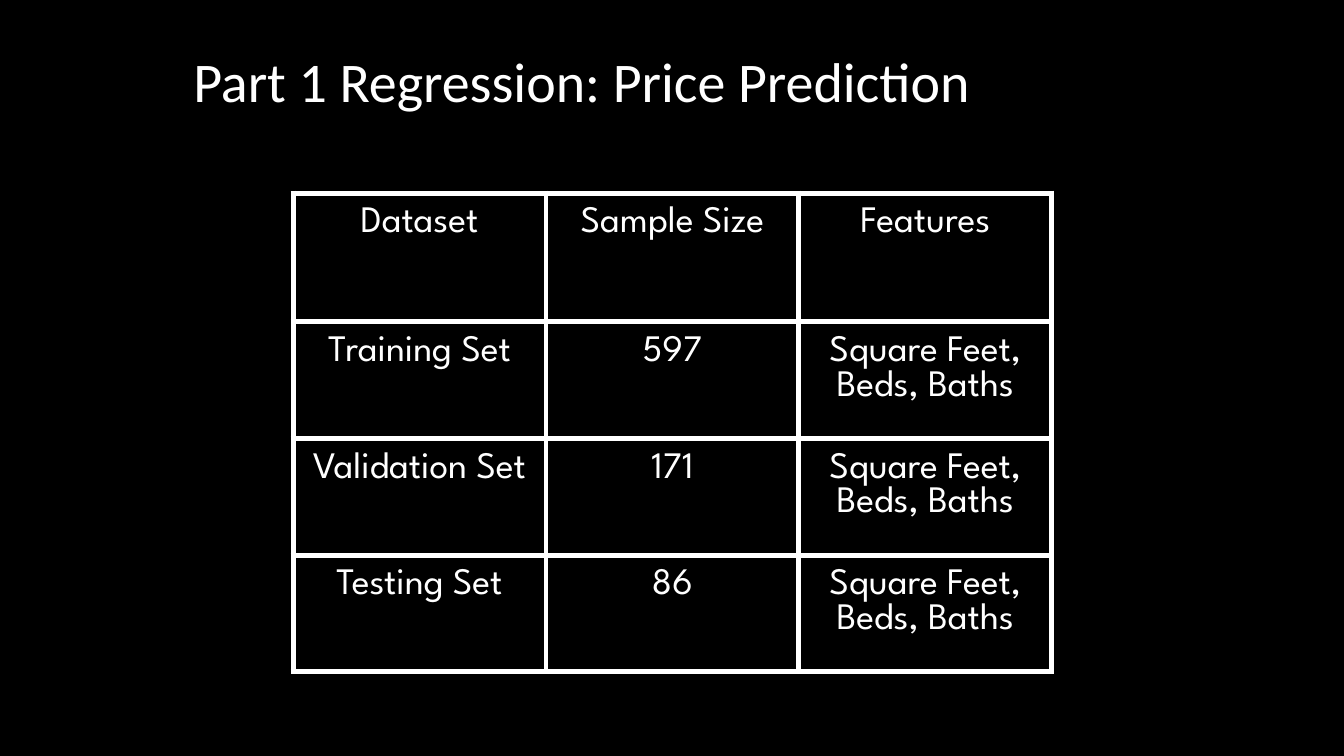
"""Build the slide on the regression data sets for price prediction."""
from lxml import etree
from pptx import Presentation
from pptx.dml.color import RGBColor
from pptx.enum import text
from pptx.oxml import ns
from pptx.util import Pt

TITLE = "Part 1 Regression: Price Prediction"
FEATURES = "Square Feet, Beds, Baths"
ROWS = [
    ("Dataset", "Sample Size", "Features"),
    ("Training Set", "597", FEATURES),
    ("Validation Set", "171", FEATURES),
    ("Testing Set", "86", FEATURES),
]
BLACK, WHITE = "000000", "FFFFFF"
INSET = 7.2
TABLE_LEFT, TABLE_TOP = 157, 103.5
COLUMN_WIDTH, HEADER_HEIGHT, ROW_HEIGHT = 135.5, 69, 53.5
BORDER_WIDTH = 3


def color(value):
    """Turn a hex string into a colour."""
    return RGBColor.from_string(value)


def set_margins(target):
    """Give a cell or text frame equal margins."""
    for side in ("left", "right", "top", "bottom"):
        setattr(target, f"margin_{side}", Pt(INSET))


def write(frame, words, font, size, align):
    """Put one styled paragraph in a text frame."""
    frame.word_wrap = True
    para = frame.paragraphs[0]
    para.text = words
    para.alignment = align
    para.font.name = font
    para.font.size = Pt(size)
    para.font.color.rgb = color(WHITE)


def add_borders(cell):
    """Draw a white line on all four sides of a cell."""
    properties = cell._tc.get_or_add_tcPr()
    for side in "LRTB":
        line = etree.SubElement(properties, ns.qn(f"a:ln{side}"), w=str(Pt(BORDER_WIDTH)))
        fill = etree.SubElement(line, ns.qn("a:solidFill"))
        etree.SubElement(fill, ns.qn("a:srgbClr"), val=WHITE)


def add_title(page):
    """Place the title."""
    box = page.shapes.add_textbox(Pt(96.5), Pt(17.5), Pt(526), Pt(45))
    set_margins(box.text_frame)
    write(box.text_frame, TITLE, "Calibri", 30, text.PP_ALIGN.LEFT)


def add_dataset_table(page):
    """Place the table of data sets."""
    heights = [HEADER_HEIGHT] + [ROW_HEIGHT] * (len(ROWS) - 1)
    columns = len(ROWS[0])
    table = page.shapes.add_table(
        len(ROWS), columns, Pt(TABLE_LEFT), Pt(TABLE_TOP),
        Pt(COLUMN_WIDTH * columns), Pt(sum(heights)),
    ).table
    table.first_row = table.horz_banding = False
    for column in table.columns:
        column.width = Pt(COLUMN_WIDTH)
    for row, height, values in zip(table.rows, heights, ROWS):
        row.height = Pt(height)
        for cell, value in zip(row.cells, values):
            set_margins(cell)
            add_borders(cell)
            cell.fill.background()
            write(cell.text_frame, value, "League Spartan", 20, text.PP_ALIGN.CENTER)


def main():
    """Build and save the deck."""
    deck = Presentation()
    deck.slide_width, deck.slide_height = Pt(720), Pt(405)
    page = deck.slides.add_slide(deck.slide_layouts[6])
    page.background.fill.solid()
    page.background.fill.fore_color.rgb = color(BLACK)
    add_title(page)
    add_dataset_table(page)
    deck.save("out.pptx")


if __name__ == "__main__":
    main()
